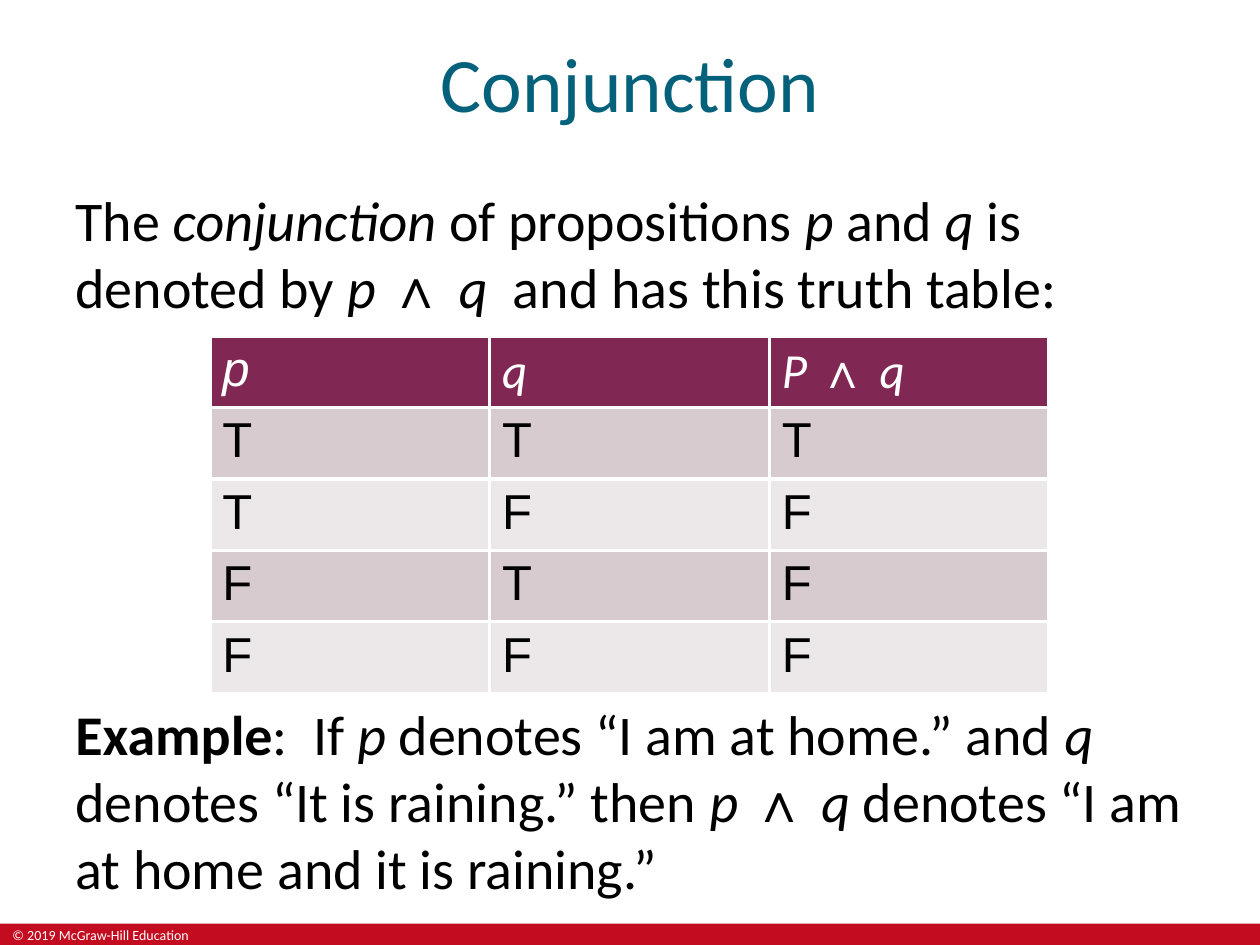
from lxml import etree
from pptx import Presentation
from pptx.dml.color import RGBColor
from pptx.enum import shapes, text
from pptx.oxml.ns import qn
from pptx.util import Cm, Pt

COLOURS = {"title": "04617B", "ink": "000000", "white": "FFFFFF", "footer": "C30C20",
           "header": "802754", "odd": "D7CBCF", "even": "ECE7E9"}

# Run styles: "" plain, "i" italic, "b" bold, "s" logic symbol, "S" bold logic symbol
DEFINITION = [("The ", ""), ("conjunction", "i"), (" of propositions ", ""), ("p", "i"),
              (" and ", ""), ("q", "i"), (" is denoted by ", ""), ("p ", "i"), ("∧ ", "s"),
              ("q  ", "i"), ("and has this truth table:", "")]
EXAMPLE = [("Example", "b"), (":  If ", ""), ("p", "i"),
           (" denotes “I am at home.” and ", ""), ("q", "i"),
           (" denotes “It is raining.” then ", ""), ("p ", "i"), ("∧ ", "s"), ("q", "i"),
           (" denotes “I am at home and it is raining.”", "")]
HEADINGS = [([("p", "i")], "Arial"), ([("q", "i")], "Calibri"),
            ([("P ", "i"), ("∧ ", "S"), ("q", "i")], "Calibri")]
TRUTH_VALUES = ["TTT", "TFF", "FTF", "FFF"]


def rgb(name):
    return RGBColor.from_string(COLOURS[name])


def write(frame, runs, *, size, colour="ink", font="Calibri", align=text.PP_ALIGN.LEFT,
          anchor=text.MSO_ANCHOR.TOP, spacing=None):
    frame.word_wrap = True
    frame.vertical_anchor = anchor
    paragraph = frame.paragraphs[0]
    paragraph.alignment = align
    paragraph.line_spacing = spacing
    for words, style in runs:
        run = paragraph.add_run()
        run.text = words
        run.font.size = Pt(size)
        run.font.name = "Times New Roman" if style in ("s", "S") else font
        run.font.italic = style == "i"
        run.font.bold = style in ("b", "S")
        run.font.color.rgb = rgb(colour)


def add_text(slide, box, runs, **form):
    write(slide.shapes.add_textbox(*map(Cm, box)).text_frame, runs, **form)


def fill_cell(cell, fill, runs, **form):
    """Write a cell, colour it and give it white borders."""
    write(cell.text_frame, runs, size=28, **form)
    properties = cell._tc.get_or_add_tcPr()
    for side in ("lnL", "lnR", "lnT", "lnB"):
        line = etree.SubElement(properties, qn(f"a:{side}"), w=str(Pt(2.25)))
        solid = etree.SubElement(line, qn("a:solidFill"))
        etree.SubElement(solid, qn("a:srgbClr"), val=COLOURS["white"])
    cell.fill.solid()
    cell.fill.fore_color.rgb = rgb(fill)


def add_truth_table(slide):
    row_count, column_count = len(TRUTH_VALUES) + 1, len(HEADINGS)
    column_width, row_height = 5.64, 1.36
    table = slide.shapes.add_table(row_count, column_count, Cm(4.23), Cm(6.77),
                                   Cm(column_count * column_width),
                                   Cm(row_count * row_height)).table
    for column in table.columns:
        column.width = Cm(column_width)
    for row in table.rows:
        row.height = Cm(row_height)
    table.rows[0].height = Cm(1.42)
    for column, (runs, font) in enumerate(HEADINGS):
        fill_cell(table.cell(0, column), "header", runs, colour="white", font=font)
    for row, values in enumerate(TRUTH_VALUES, start=1):
        for column, value in enumerate(values):
            fill_cell(table.cell(row, column), "odd" if row % 2 else "even",
                      [(value, "")], font="Arial")


def add_footer(slide):
    top, height = 18.62, 0.43
    band = slide.shapes.add_shape(shapes.MSO_SHAPE.RECTANGLE, 0, Cm(top), Cm(25.4), Cm(height))
    band.shadow.inherit = False
    band.fill.solid()
    band.fill.fore_color.rgb = rgb("footer")
    band.line.fill.background()
    add_text(slide, (0, top, 4.32, height), [("© 2019 McGraw-Hill Education", "")],
             size=8, colour="white", spacing=0.8)


def main():
    deck = Presentation()
    deck.slide_width, deck.slide_height = Cm(25.4), Cm(19.05)
    slide = deck.slides.add_slide(deck.slide_layouts[6])
    add_footer(slide)
    add_text(slide, (0, 0, 25.4, 3.3), [("Conjunction", "")], size=44, colour="title",
             align=text.PP_ALIGN.CENTER, anchor=text.MSO_ANCHOR.MIDDLE)
    add_text(slide, (1.27, 3.61, 22.86, 2.97), DEFINITION, size=32)
    add_truth_table(slide)
    add_text(slide, (1.27, 13.97, 23.11, 4.45), EXAMPLE, size=32)
    deck.save("out.pptx")


if __name__ == "__main__":
    main()
